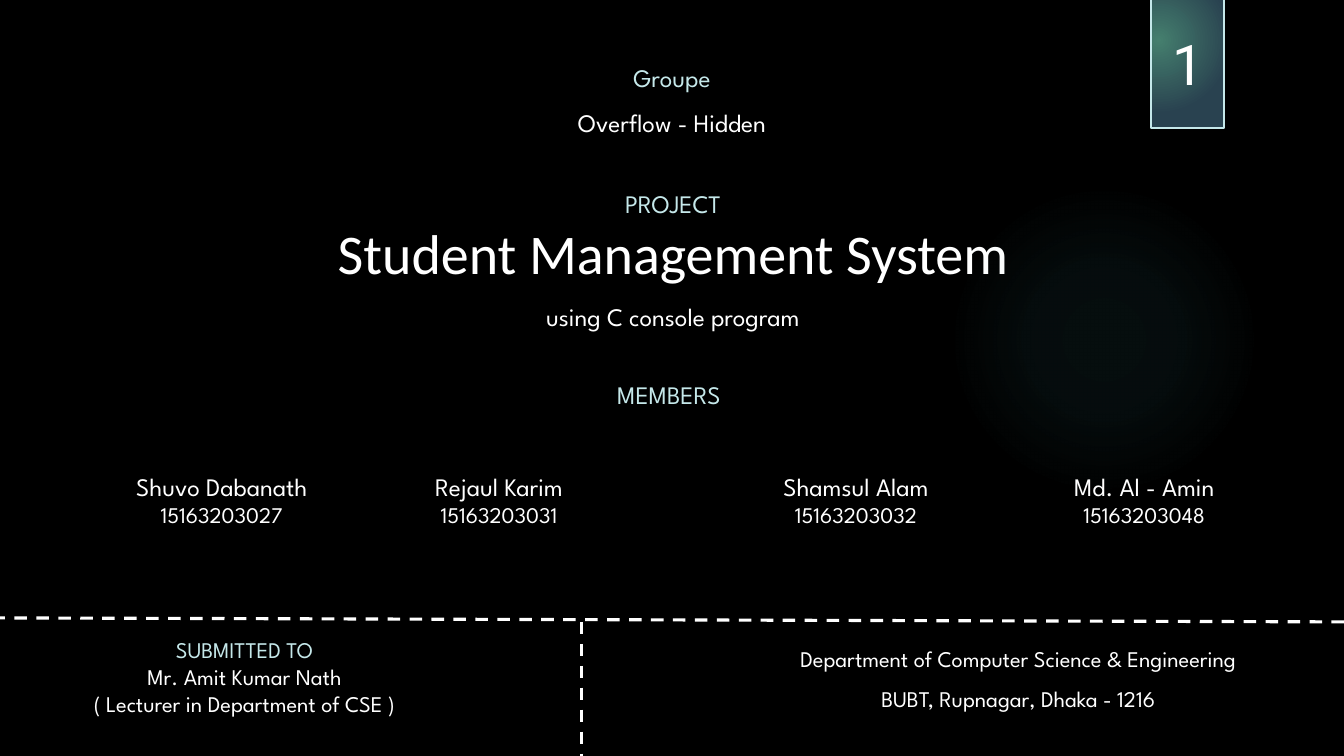
from lxml import etree
from pptx import Presentation
from pptx.dml.color import RGBColor
from pptx.enum.dml import MSO_LINE
from pptx.enum.shapes import MSO_CONNECTOR, MSO_SHAPE
from pptx.enum.text import MSO_ANCHOR, MSO_AUTO_SIZE, PP_ALIGN
from pptx.oxml import parse_xml
from pptx.oxml.ns import nsdecls, qn
from pptx.util import Inches, Pt

COLORS = {
    "background": "000000",
    "text": "FFFFFF",
    "heading": "C5E8EA",
    "glow": "50B9C1",
    "badge_light": "457F6E",
    "badge_dark": "294250",
}
FONT = "League Spartan"
MEMBERS = [
    ("Shuvo Dabanath", "15163203027", 0.65, 3.1),
    ("Rejaul Karim", "15163203031", 3.52, 2.86),
    ("Shamsul Alam", "15163203032", 6.94, 3.1),
    ("Md. Al - Amin", "15163203048", 9.8, 3.1),
]


def color(name):
    return RGBColor.from_string(COLORS[name])


def line(text, size=18, tint="text", spacing=1.0, font=FONT):
    return text, size, tint, spacing, font


def write_lines(frame, lines, anchor=MSO_ANCHOR.TOP):
    """Fill a text frame with centred, formatted paragraphs."""
    frame.word_wrap = True
    frame.auto_size = MSO_AUTO_SIZE.NONE
    frame.vertical_anchor = anchor
    for index, (text, size, tint, spacing, font) in enumerate(lines):
        paragraph = frame.add_paragraph() if index else frame.paragraphs[0]
        paragraph.text = text
        paragraph.alignment = PP_ALIGN.CENTER
        paragraph.line_spacing = spacing
        paragraph.font.name = font
        paragraph.font.size = Pt(size)
        paragraph.font.color.rgb = color(tint)


def add_text(slide, box, lines, anchor=MSO_ANCHOR.TOP):
    textbox = slide.shapes.add_textbox(*map(Inches, box))
    write_lines(textbox.text_frame, lines, anchor)


def add_radial_shape(slide, kind, box, stops, focus):
    """Add a shape with a circular gradient; stops are (position, colour, opacity)."""
    shape = slide.shapes.add_shape(kind, *map(Inches, box))
    shape.shadow.inherit = False
    shape.line.fill.background()
    stop_xml = "".join(
        f'<a:gs pos="{position * 1000}"><a:srgbClr val="{COLORS[tint]}">'
        f'<a:alpha val="{opacity * 1000}"/></a:srgbClr></a:gs>'
        for position, tint, opacity in stops
    )
    left, top, right, bottom = (edge * 1000 for edge in focus)
    gradient = parse_xml(
        f'<a:gradFill {nsdecls("a")} rotWithShape="1"><a:gsLst>{stop_xml}</a:gsLst>'
        f'<a:path path="circle"><a:fillToRect l="{left}" t="{top}" r="{right}" '
        f'b="{bottom}"/></a:path></a:gradFill>'
    )
    shape._element.spPr.find(qn("a:prstGeom")).addnext(gradient)
    return shape


def add_dashed_line(slide, start, end):
    divider = slide.shapes.add_connector(
        MSO_CONNECTOR.STRAIGHT, *map(Inches, start + end))
    divider.line.color.rgb = color("text")
    divider.line.width = Pt(2.25)
    divider.line.dash_style = MSO_LINE.DASH
    etree.SubElement(divider._element.spPr, qn("a:effectLst"))


def add_project_title(slide):
    title = slide.shapes.title
    title.left, title.top, title.width, title.height = map(
        Inches, (0.01, 1.82, 13.33, 1.53))
    write_lines(title.text_frame, [
        line("PROJECT", tint="heading"),
        line("Student Management System", size=40, font="Calibri"),
        line("using C console program", spacing=1.5),
    ])


def add_page_badge(slide):
    badge = add_radial_shape(
        slide, MSO_SHAPE.RECTANGLE, (11.42, -0.01, 0.72, 1.28),
        [(0, "badge_light", 100), (100, "badge_dark", 100)], (45, 65, 125, 100))
    badge.line.color.rgb = color("heading")
    badge.line.width = Pt(1.5)
    write_lines(badge.text_frame, [line("1", size=40, font="Roboto")],
                MSO_ANCHOR.MIDDLE)


def main():
    prs = Presentation()
    prs.slide_width, prs.slide_height = Inches(13.33), Inches(7.5)
    slide = prs.slides.add_slide(prs.slide_layouts[5])
    slide.background.fill.solid()
    slide.background.fill.fore_color.rgb = color("background")

    # Background glow
    add_radial_shape(
        slide, MSO_SHAPE.OVAL, (9.41, 1.83, 3.08, 3.08),
        [(0, "glow", 7), (36, "glow", 6), (69, "glow", 0)], (50, 50, 50, 50))

    # Group and project
    add_text(slide, (0, 0.42, 13.33, 1.01), [
        line("Groupe", tint="heading", spacing=1.5),
        line("Overflow - Hidden", spacing=1.5),
    ])
    add_project_title(slide)

    # Members
    add_text(slide, (4.83, 3.71, 3.61, 0.4), [line("MEMBERS", tint="heading")])
    for name, student_id, left, width in MEMBERS:
        add_text(slide, (left, 4.59, width, 0.7),
                 [line(name, spacing=1.5), line(student_id, size=16)],
                 MSO_ANCHOR.BOTTOM)

    # Footer: lecturer and department
    add_dashed_line(slide, (13.33, 6.17), (0, 6.13))
    add_dashed_line(slide, (5.77, 6.17), (5.77, 7.5))
    add_text(slide, (0.02, 6.13, 4.81, 1.04), [
        line("SUBMITTED TO", size=16, tint="heading", spacing=1.5),
        line("Mr. Amit Kumar Nath", size=16),
        line("( Lecturer in Department of CSE )", size=16),
    ])
    add_text(slide, (6.87, 6.22, 6.46, 0.86), [
        line("Department of Computer Science & Engineering", size=16, spacing=1.5),
        line("BUBT, Rupnagar, Dhaka - 1216", size=16, spacing=1.5),
    ])

    add_page_badge(slide)
    prs.save("out.pptx")


if __name__ == "__main__":
    main()
